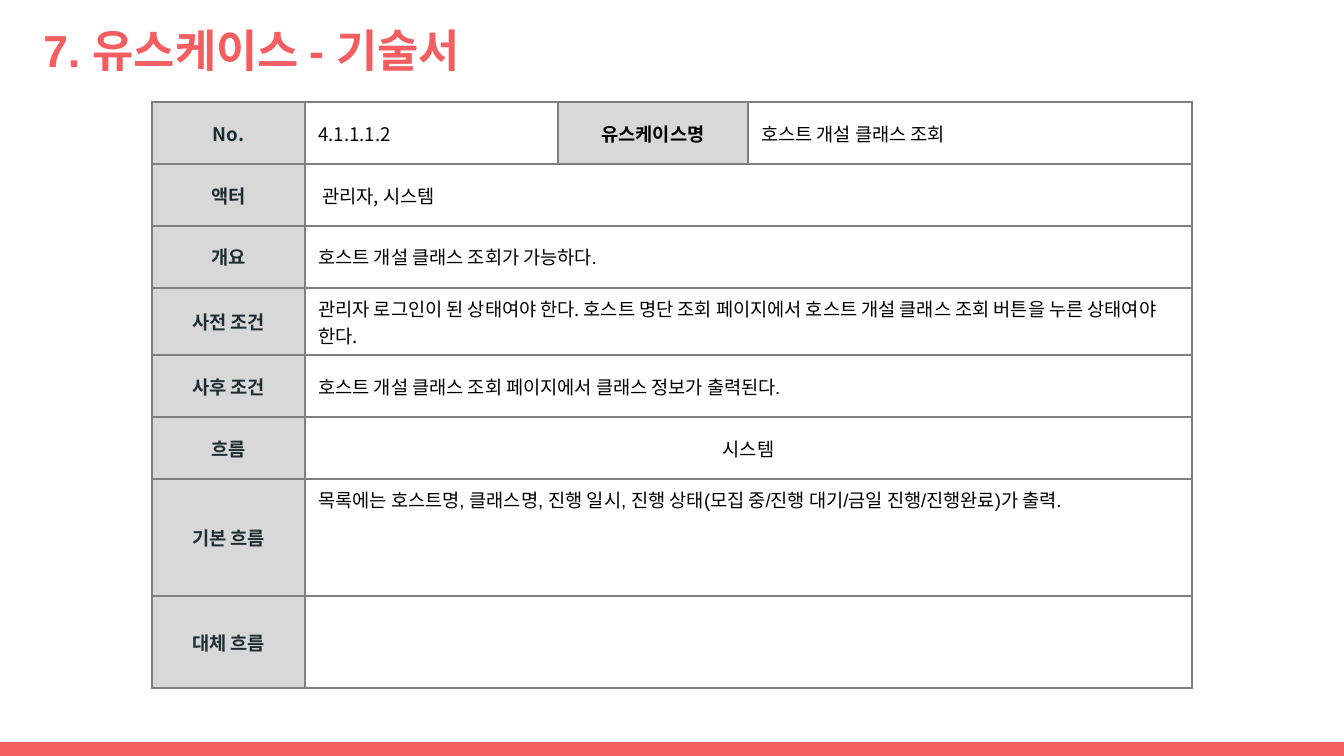
import pptx
import pptx.util
import pptx.dml.color
import pptx.enum.shapes
import pptx.enum.text
import pptx.oxml.ns
import lxml.etree

SCALE = 9144000 / 1344  # EMU per px
COLORS = {"coral": "F55E61", "gray": "D8D8D8", "line": "7F7F7F",
          "dark": "1E2D31", "black": "000000"}
NOTO = "Noto Sans CJK KR"
ARIAL = "Arial"
ALIGN = pptx.enum.text.PP_ALIGN
ANCHOR = pptx.enum.text.MSO_ANCHOR

COLS = [153, 253, 190, 444]
ROWS = [62] * 6 + [117, 92]
# Label, value, value font
ITEMS = [
    ("No.", "4.1.1.1.2", NOTO),
    ("액터", " 관리자, 시스템", NOTO),
    ("개요", "호스트 개설 클래스 조회가 가능하다.", ARIAL),
    ("사전 조건", "관리자 로그인이 된 상태여야 한다. 호스트 명단 조회 페이지에서 "
     "호스트 개설 클래스 조회 버튼을 누른 상태여야 한다.", NOTO),
    ("사후 조건", "호스트 개설 클래스 조회 페이지에서 클래스 정보가 출력된다.", ARIAL),
    ("흐름", "시스템", ARIAL),
    ("기본 흐름", "목록에는 호스트명, 클래스명, 진행 일시, 진행 상태"
     "(모집 중/진행 대기/금일 진행/진행완료)가 출력.", ARIAL),
    ("대체 흐름", "", ARIAL),
]


def px(n):
    return pptx.util.Emu(round(n * SCALE))


def rgb(name):
    return pptx.dml.color.RGBColor.from_string(COLORS[name])


def write(frame, text, color, align=ALIGN.LEFT, **form):
    para = frame.paragraphs[0]
    para.alignment = align
    if not text:
        return
    run = para.add_run()
    run.text = text
    for key, val in form.items():
        setattr(run.font, key, val)
    run.font.color.rgb = rgb(color)
    # Hangul font
    east = lxml.etree.SubElement(run.font._element, pptx.oxml.ns.qn("a:ea"))
    east.set("typeface", NOTO)


def edge(cell):
    props = cell._tc.get_or_add_tcPr()
    for side in ("lnL", "lnR", "lnT", "lnB"):
        line = lxml.etree.SubElement(props, pptx.oxml.ns.qn("a:" + side), w="12700")
        fill = lxml.etree.SubElement(line, pptx.oxml.ns.qn("a:solidFill"))
        lxml.etree.SubElement(fill, pptx.oxml.ns.qn("a:srgbClr"), val=COLORS["line"])


def put_head(cell, text, color="dark"):
    cell.fill.solid()
    cell.fill.fore_color.rgb = rgb("gray")
    write(cell.text_frame, text, color, ALIGN.CENTER,
          size=pptx.util.Pt(10), name=NOTO, bold=True)


def put_value(cell, text, font, align=ALIGN.LEFT):
    write(cell.text_frame, text, "black", align,
          size=pptx.util.Pt(10), name=font, bold=False)


def add_title(slide, x, y, w, h):
    title = slide.shapes.title
    title.left, title.top, title.width, title.height = map(px, (x, y, w, h))
    frame = title.text_frame
    form = {"word_wrap": True, "vertical_anchor": ANCHOR.MIDDLE,
            "auto_size": pptx.enum.text.MSO_AUTO_SIZE.NONE}
    form.update({"margin_" + side: px(13) for side in ("left", "right", "top", "bottom")})
    for key, val in form.items():
        setattr(frame, key, val)
    write(frame, "7. 유스케이스 - 기술서", "coral",
          size=pptx.util.Pt(24), name=ARIAL, bold=True)


def add_sheet(slide, x, y, w, h):
    table = slide.shapes.add_table(len(ROWS), len(COLS), *map(px, (x, y, w, h))).table
    table.first_row = table.horz_banding = False
    for col, size in zip(table.columns, COLS):
        col.width = px(size)
    for row, size in zip(table.rows, ROWS):
        row.height = px(size)
    for cell in table.iter_cells():
        edge(cell)
        cell.fill.background()
        cell.vertical_anchor = ANCHOR.MIDDLE

    for i, (label, text, font) in enumerate(ITEMS):
        put_head(table.cell(i, 0), label)
        if i:
            table.cell(i, 1).merge(table.cell(i, 3))
        align = ALIGN.CENTER if label == "흐름" else ALIGN.LEFT
        put_value(table.cell(i, 1), text, font, align)

    # Use case name in the first row
    put_head(table.cell(0, 2), "유스케이스명", "black")
    put_value(table.cell(0, 3), "호스트 개설 클래스 조회", ARIAL)
    # Main flow starts at the top
    table.cell(6, 1).vertical_anchor = ANCHOR.TOP


def add_bar(slide, x, y, w, h):
    bar = slide.shapes.add_shape(pptx.enum.shapes.MSO_SHAPE.RECTANGLE,
                                 *map(px, (x, y, w, h)))
    bar.shadow.inherit = False
    bar.fill.solid()
    bar.fill.fore_color.rgb = rgb("coral")
    bar.line.fill.background()


def main():
    deck = pptx.Presentation()
    deck.slide_width, deck.slide_height = px(1344), px(756)
    slide = deck.slides.add_slide(deck.slide_layouts[5])
    add_bar(slide, 0, 742, 1344, 14)
    add_title(slide, 30, 10, 1253, 80)
    add_sheet(slide, 152, 102, sum(COLS), sum(ROWS))
    deck.save("out.pptx")


if __name__ == "__main__":
    main()
